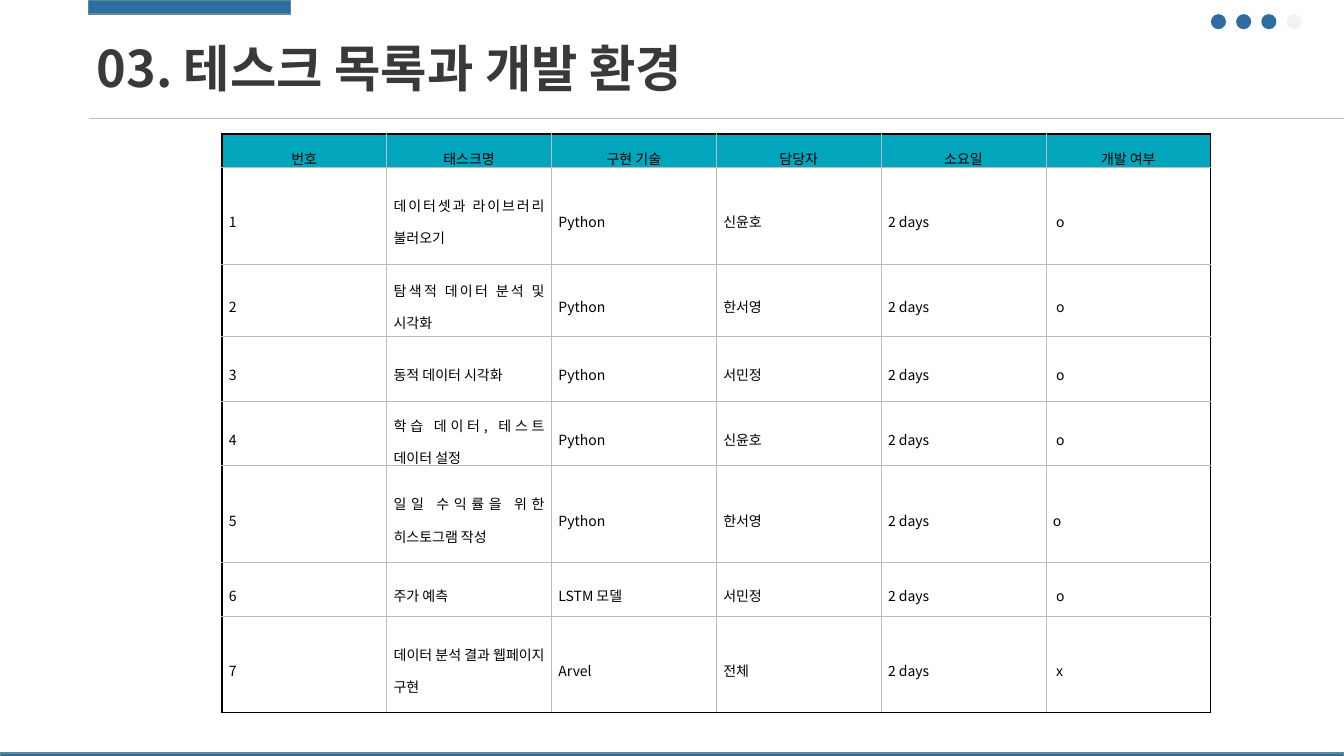
from lxml import etree
from pptx import Presentation
from pptx.dml.color import RGBColor
from pptx.enum import shapes, text
from pptx.oxml.ns import qn
from pptx.util import Inches, Pt

# Content
TITLE = "03. 테스크 목록과 개발 환경"
HEADER = ("번호", "태스크명", "구현 기술", "담당자", "소요일", "개발 여부")
TASKS = [
    ("1", "데이터셋과 라이브러리 불러오기 ", "Python", "신윤호", "2 days", " o"),
    ("2", "탐색적 데이터 분석 및 시각화", "Python", "한서영", "2 days", " o"),
    ("3", "동적 데이터 시각화", "Python", "서민정", "2 days", " o"),
    ("4", "학습 데이터, 테스트 데이터 설정", "Python", "신윤호", "2 days", " o"),
    ("5", "일일 수익률을 위한 히스토그램 작성", "Python", "한서영", "2 days", "o"),
    ("6", "주가 예측", "LSTM 모델", "서민정", "2 days", " o"),
    ("7", "데이터 분석 결과 웹페이지 구현", "Arvel", "전체", "2 days", " x"),
]
ROW_HEIGHTS = (0.33, 0.96, 0.72, 0.64, 0.64, 0.96, 0.53, 0.96)
TABLE_LEFT, TABLE_TOP, TABLE_WIDTH = 2.2, 1.33, 9.81

# Style
FONT = "Noto Sans CJK KR"
BLUE, BLUE_EDGE, PALE = "2F6DA0", "5C8A95", "F2F2F2"
TEAL, WHITE, BLACK, DARK = "01A6BC", "FFFFFF", "000000", "3A3838"
OUTER, INNER = (BLACK, 1.13), ("BBBBBB", 0.43)
CELL_FORMAT = {
    "margin_left": Inches(0.07), "margin_right": Inches(0.07),
    "margin_top": Inches(0.02), "margin_bottom": Inches(0.02),
    "vertical_anchor": text.MSO_ANCHOR.MIDDLE,
}


def rgb(value):
    return RGBColor.from_string(value)


def write(p, words, size, color, bold=False):
    r = p.add_run()
    r.text = words
    for name, value in {"name": FONT, "size": Pt(size), "bold": bold}.items():
        setattr(r.font, name, value)
    r.font.color.rgb = rgb(color)
    ea = etree.SubElement(r.font._element, qn("a:ea"))
    ea.set("typeface", FONT)


def add_block(s, kind, box, fill, edge=None):
    sp = s.shapes.add_shape(kind, *map(Inches, box))
    sp.shadow.inherit = False
    sp.fill.solid()
    sp.fill.fore_color.rgb = rgb(fill)
    if edge:
        sp.line.color.rgb = rgb(edge)
        sp.line.width = Pt(1)
    else:
        sp.line.fill.background()


def add_borders(cell, sides):
    tcPr = cell._tc.get_or_add_tcPr()
    for i, (side, (color, width)) in enumerate(sides.items()):
        ln = etree.Element(qn(f"a:ln{side}"), w=str(int(Pt(width))))
        fill = etree.SubElement(ln, qn("a:solidFill"))
        etree.SubElement(fill, qn("a:srgbClr"), val=color)
        tcPr.insert(i, ln)


def add_task_table(s):
    rows = [HEADER, *TASKS]
    last_row, last_col = len(rows) - 1, len(HEADER) - 1
    box = (TABLE_LEFT, TABLE_TOP, TABLE_WIDTH, sum(ROW_HEIGHTS))
    table = s.shapes.add_table(len(rows), len(HEADER), *map(Inches, box)).table
    for col in table.columns:
        col.width = Inches(TABLE_WIDTH / len(HEADER))
    for row, height in zip(table.rows, ROW_HEIGHTS):
        row.height = Inches(height)
    for i, row in enumerate(rows):
        for j, words in enumerate(row):
            cell = table.cell(i, j)
            for name, value in CELL_FORMAT.items():
                setattr(cell, name, value)
            cell.fill.solid()
            cell.fill.fore_color.rgb = rgb(WHITE if i else TEAL)
            add_borders(cell, {
                "L": INNER if j else OUTER,
                "R": OUTER if j == last_col else INNER,
                "T": INNER if i else OUTER,
                "B": OUTER if i == last_row else INNER,
            })
            p = cell.text_frame.paragraphs[0]
            p.alignment = text.PP_ALIGN.JUSTIFY if i else text.PP_ALIGN.CENTER
            p.line_spacing = 1.6
            write(p, words, 10, BLACK)


def main():
    prs = Presentation()
    prs.slide_width, prs.slide_height = Inches(13.33), Inches(7.5)
    s = prs.slides.add_slide(prs.slide_layouts[6])

    # Top tab and bottom bar
    for box in ((0.88, 0, 2, 0.14), (0, 7.47, 13.33, 0.05)):
        add_block(s, shapes.MSO_SHAPE.RECTANGLE, box, BLUE, BLUE_EDGE)

    # Title
    box = (0.86, 0.32, 6.68, 0.71)
    tf = s.shapes.add_textbox(*map(Inches, box)).text_frame
    tf.word_wrap = False
    tf.auto_size = text.MSO_AUTO_SIZE.SHAPE_TO_FIT_TEXT
    write(tf.paragraphs[0], TITLE, 36, DARK, bold=True)

    # Progress dots
    for i, color in enumerate((BLUE, BLUE, BLUE, PALE)):
        box = (12.01 + 0.25 * i, 0.14, 0.15, 0.15)
        add_block(s, shapes.MSO_SHAPE.OVAL, box, color)

    # Rule under the title
    ends = map(Inches, (0.88, 1.17, 13.33, 1.17))
    rule = s.shapes.add_connector(shapes.MSO_CONNECTOR.STRAIGHT, *ends)
    rule.line.color.rgb = rgb("BFBFBF")
    rule.line.width = Pt(0.5)
    etree.SubElement(rule._element.spPr, qn("a:effectLst"))

    add_task_table(s)
    prs.save("out.pptx")


if __name__ == "__main__":
    main()
